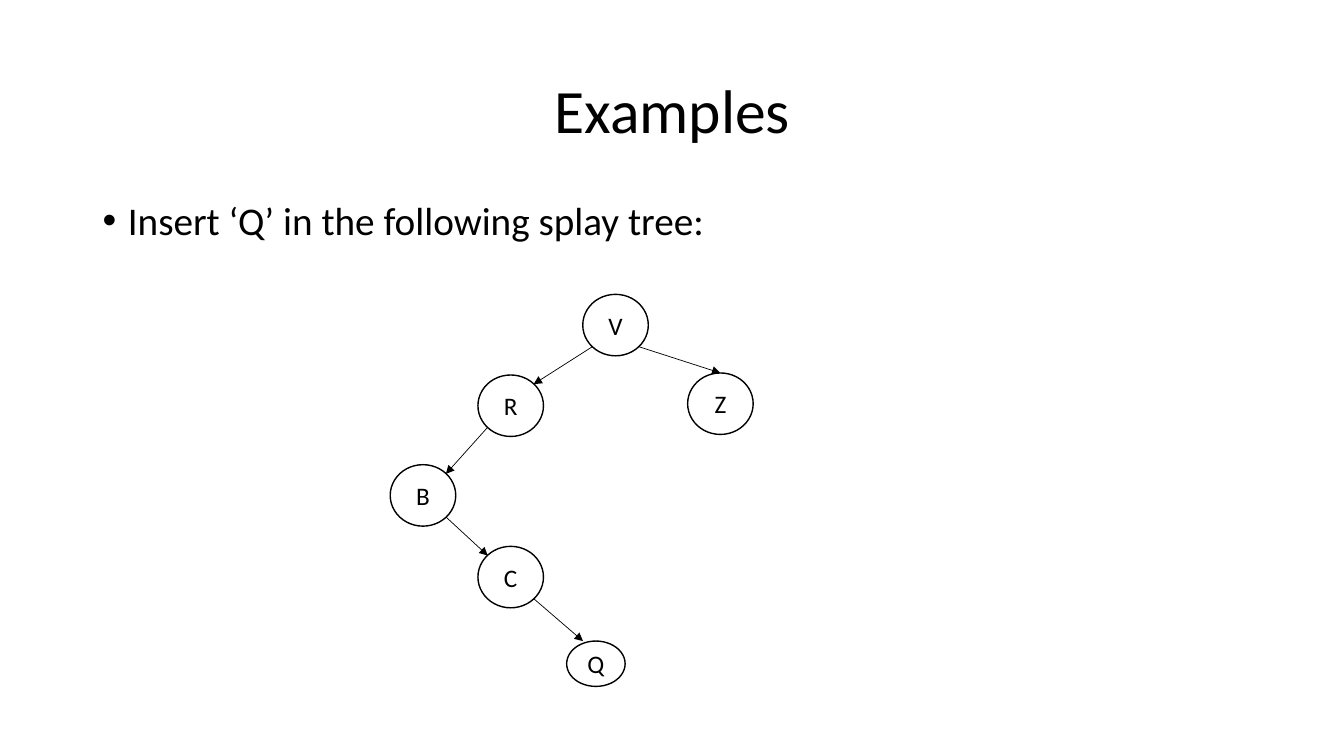
from lxml import etree
from pptx import Presentation
from pptx import util as u
from pptx.dml.color import RGBColor
from pptx.enum import shapes, text
from pptx.oxml.ns import qn

BLACK = "000000"
FONT = "Calibri"
TITLE = "Examples"
TASK = "Insert ‘Q’ in the following splay tree:"
NODES = {
    "V": (5.78, 2.92, 0.65, 0.61),
    "R": (4.74, 3.72, 0.65, 0.61),
    "Z": (6.82, 3.7, 0.65, 0.61),
    "B": (3.87, 4.61, 0.65, 0.61),
    "C": (4.74, 5.42, 0.65, 0.61),
    "Q": (5.62, 6.36, 0.58, 0.45),
}
NEAR, FAR = 0.15, 0.85
LOWER_LEFT, LOWER_RIGHT = (NEAR, FAR), (FAR, FAR)
UPPER_LEFT, UPPER_RIGHT = (NEAR, NEAR), (FAR, NEAR)
EDGES = [
    ("V", LOWER_LEFT, "R", UPPER_RIGHT),
    ("V", LOWER_RIGHT, "Z", (0.5, 0)),
    ("R", LOWER_LEFT, "B", UPPER_RIGHT),
    ("B", LOWER_RIGHT, "C", UPPER_LEFT),
    ("C", LOWER_RIGHT, "Q", (0.28, 0)),
]


def color(value):
    return RGBColor.from_string(value)


def write(shape, words, size, align, anchor):
    frame = shape.text_frame
    frame.word_wrap = True
    frame.vertical_anchor = anchor
    paragraph = frame.paragraphs[0]
    paragraph.text = words
    paragraph.alignment = align
    paragraph.font.size = u.Pt(size)
    paragraph.font.name = FONT
    paragraph.font.color.rgb = color(BLACK)
    return paragraph


def add_bullet(paragraph):
    properties = paragraph._p.get_or_add_pPr()
    properties.set("marL", str(u.Inches(0.25)))
    properties.set("indent", str(u.Inches(-0.25)))
    fill = properties.find(qn("a:defRPr"))
    font = etree.Element(qn("a:buFont"), typeface="Arial")
    bullet = etree.Element(qn("a:buChar"), char="•")
    for element in (font, bullet):
        if fill is None:
            properties.append(element)
        else:
            fill.addprevious(element)


def add_text(slide, words, box, size, align, anchor):
    shape = slide.shapes.add_textbox(*map(u.Inches, box))
    paragraph = write(shape, words, size, align, anchor)
    paragraph.line_spacing = 0.9
    return paragraph


def add_node(slide, label, box):
    node = slide.shapes.add_shape(shapes.MSO_SHAPE.OVAL, *map(u.Inches, box))
    node.shadow.inherit = False
    node.fill.background()
    node.line.color.rgb = color(BLACK)
    node.line.width = u.Pt(1)
    frame = node.text_frame
    frame.margin_left = frame.margin_right = 0
    frame.margin_top = frame.margin_bottom = 0
    write(node, label, 18, text.PP_ALIGN.CENTER, text.MSO_ANCHOR.MIDDLE)


def point_on(label, fraction):
    left, top, width, height = NODES[label]
    return u.Inches(left + width * fraction[0]), u.Inches(top + height * fraction[1])


def add_edge(slide, parent, start, child, end):
    edge = slide.shapes.add_connector(
        shapes.MSO_CONNECTOR.STRAIGHT, *point_on(parent, start), *point_on(child, end))
    edge.line.color.rgb = color(BLACK)
    edge.line.width = u.Pt(0.5)
    etree.SubElement(edge.line._get_or_add_ln(), qn("a:tailEnd"), type="triangle")
    etree.SubElement(edge._element.spPr, qn("a:effectLst"))


def main():
    presentation = Presentation()
    presentation.slide_width = u.Inches(13.33)
    presentation.slide_height = u.Inches(7.5)
    slide = presentation.slides.add_slide(presentation.slide_layouts[6])
    add_text(slide, TITLE, (0.92, 0.4, 11.5, 1.45), 44,
             text.PP_ALIGN.CENTER, text.MSO_ANCHOR.MIDDLE)
    task = add_text(slide, TASK, (0.92, 1.95, 11.5, 4.76), 28,
                    text.PP_ALIGN.LEFT, text.MSO_ANCHOR.TOP)
    add_bullet(task)
    for label, box in NODES.items():
        add_node(slide, label, box)
    for edge in EDGES:
        add_edge(slide, *edge)
    presentation.save("out.pptx")


if __name__ == "__main__":
    main()
